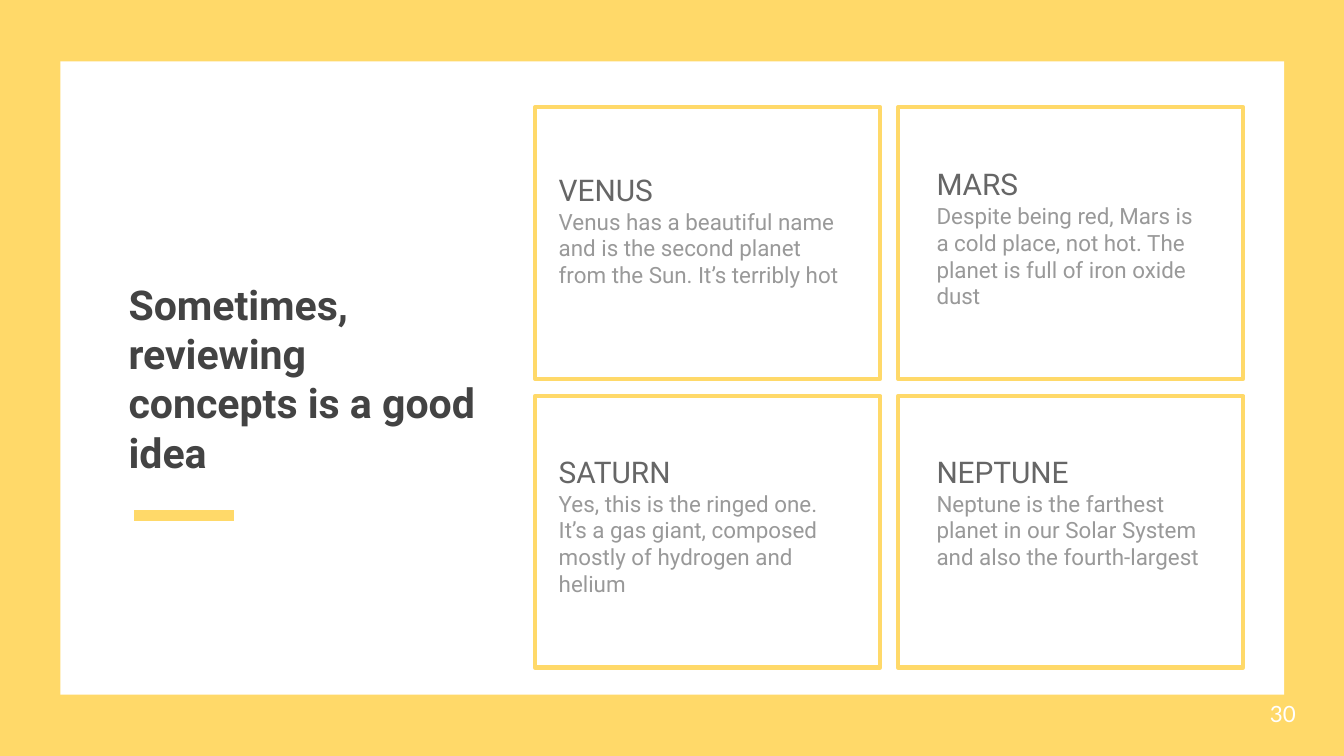
from lxml import etree
from pptx import Presentation
from pptx import util as u
from pptx.dml.color import RGBColor
from pptx.enum import shapes, text
from pptx.oxml.ns import qn

YELLOW, WHITE = "FFD969", "FFFFFF"
HEADING, BODY, TITLE = "666666", "999999", "434343"
INSET = 0.25

# Name, description, and the text's left, top and width inside its card (cm)
PLANETS = [
    ("VENUS", "Venus has a beautiful name and is the second planet from the Sun. "
     "It’s terribly hot", 0.2, 0.97, 6.02),
    ("MARS", "Despite being red, Mars is a cold place, not hot. "
     "The planet is full of iron oxide dust", 0.48, 0.86, 5.54),
    ("SATURN", "Yes, this is the ringed one. It’s a gas giant, "
     "composed mostly of hydrogen and helium", 0.2, 0.84, 5.84),
    ("NEPTUNE", "Neptune is the farthest planet in our Solar System "
     "and also the fourth-largest", 0.48, 0.84, 5.54),
]


def colour(value):
    return RGBColor.from_string(value)


def cm(*lengths):
    return [u.Cm(length) for length in lengths]


def style(font, name, size, value, bold=False):
    font.name, font.size, font.bold = name, u.Pt(size), bold
    font.color.rgb = colour(value)


def set_frame(box, anchor):
    frame = box.text_frame
    frame.word_wrap = True
    frame.auto_size = text.MSO_AUTO_SIZE.NONE
    frame.vertical_anchor = anchor
    frame.margin_left = frame.margin_right = u.Cm(INSET)
    frame.margin_top = frame.margin_bottom = u.Cm(INSET)
    return frame


def add_rectangle(page, left, top, width, height, fill=None, line=None):
    box = page.shapes.add_shape(shapes.MSO_SHAPE.RECTANGLE, *cm(left, top, width, height))
    box.shadow.inherit = False
    if fill:
        box.fill.solid()
        box.fill.fore_color.rgb = colour(fill)
    else:
        box.fill.background()
    if line:
        box.line.color.rgb = colour(line)
        box.line.width = u.Pt(2.25)
    else:
        box.line.fill.background()


def add_background(page, left, top, width, height):
    """Yellow page with a white panel in the given box."""
    page.background.fill.solid()
    page.background.fill.fore_color.rgb = colour(YELLOW)
    add_rectangle(page, left, top, width, height, fill=WHITE)


def add_heading(page, left, top, width, height):
    """Title in the given box, with a short yellow bar below it."""
    title = page.shapes.title
    title.left, title.top, title.width, title.height = cm(left, top, width, height)
    frame = set_frame(title, text.MSO_ANCHOR.MIDDLE)
    frame.text = "Sometimes, reviewing concepts is a good idea"
    para = frame.paragraphs[0]
    para.alignment = text.PP_ALIGN.LEFT
    style(para.font, "Roboto", 22, TITLE, bold=True)

    bar_left, bar_top = left + 0.36, top + height + 0.3
    bar = page.shapes.add_connector(shapes.MSO_CONNECTOR.STRAIGHT,
                                    *cm(bar_left, bar_top, bar_left + 1.88, bar_top))
    bar.line.color.rgb = colour(YELLOW)
    bar.line.width = u.Pt(6)
    etree.SubElement(bar._element.spPr, qn("a:effectLst"))


def add_planet_text(page, left, top, width, name, description):
    box = page.shapes.add_textbox(*cm(left, top, width, 3.15))
    para = set_frame(box, text.MSO_ANCHOR.TOP).paragraphs[0]
    span = para.add_run()
    span.text = name
    style(span.font, "Roboto", 16, HEADING)
    para.add_line_break()
    span = para.add_run()
    span.text = description
    style(span.font, "Roboto", 12, BODY)


def add_planet_grid(page, left, top, width, height, gap=0.33):
    """Two by two outlined cards, each with a planet's name and description."""
    card_width, card_height = (width - gap) / 2, (height - gap) / 2
    for index, (name, description, text_left, text_top, text_width) in enumerate(PLANETS):
        row, column = divmod(index, 2)
        x = left + column * (card_width + gap)
        y = top + row * (card_height + gap)
        add_rectangle(page, x, y, card_width, card_height, line=YELLOW)
        add_planet_text(page, x + text_left, y + text_top, text_width, name, description)


def add_page_number(page, left, top, width, height):
    box = page.shapes.add_textbox(*cm(left, top, width, height))
    frame = set_frame(box, text.MSO_ANCHOR.MIDDLE)
    frame.text = "30"
    style(frame.paragraphs[0].font, "Lato", 12, WHITE)


def main():
    deck = Presentation()
    deck.slide_width, deck.slide_height = cm(25.4, 14.29)
    page = deck.slides.add_slide(deck.slide_layouts.get_by_name("Title Only"))
    add_background(page, 1.14, 1.16, 23.13, 11.97)
    add_heading(page, 2.18, 4.83, 7.06, 4.62)
    add_planet_grid(page, 10.11, 2.03, 13.39, 10.59)
    add_page_number(page, 23.75, 12.95, 1.52, 1.09)
    # The title starts at the back, so bring it in front of the white panel
    page.shapes._spTree.append(page.shapes.title._element)
    deck.save("out.pptx")


if __name__ == "__main__":
    main()
